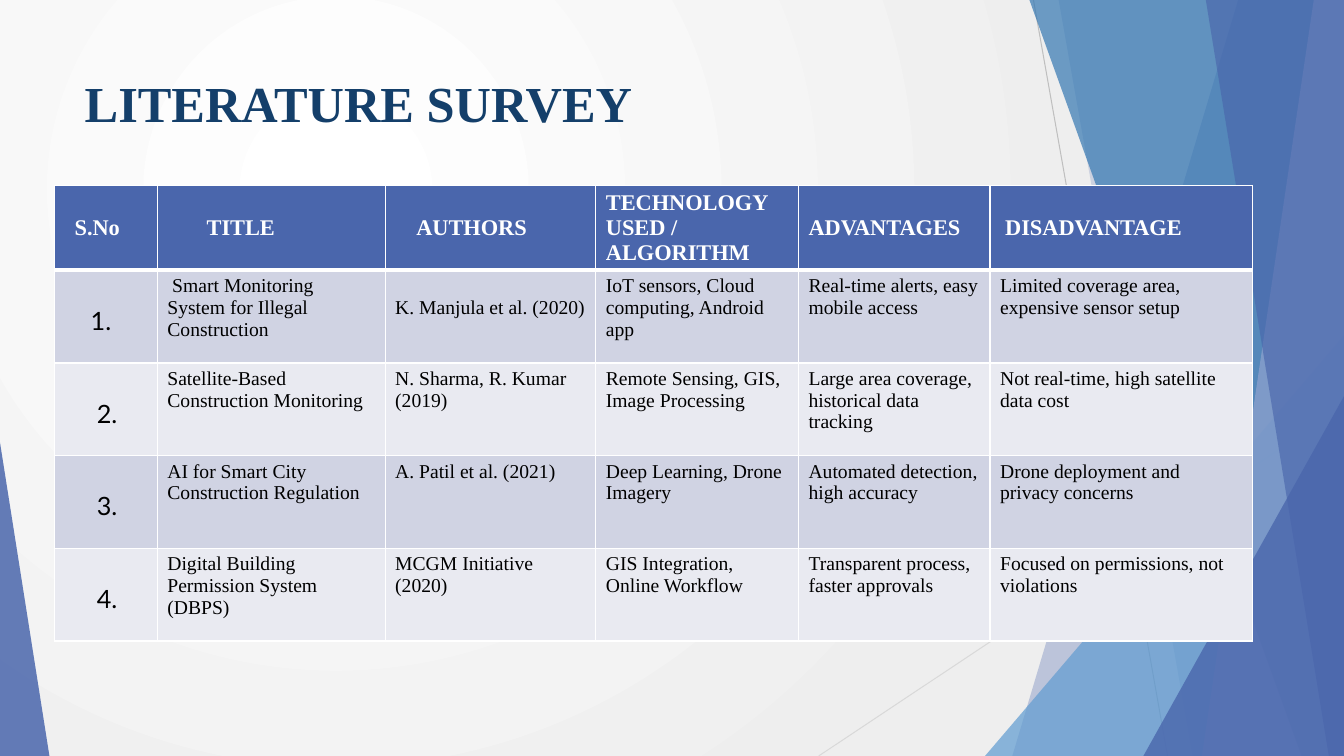
import pptx
import pptx.util
import pptx.dml.color
import pptx.enum.shapes
import pptx.enum.text
import pptx.oxml
import pptx.oxml.ns

Inches = pptx.util.Inches
RGB = pptx.dml.color.RGBColor
qn = pptx.oxml.ns.qn
NS = pptx.oxml.ns.nsdecls("a", "p")

WHITE = RGB(0xFF, 0xFF, 0xFF)
BLACK = RGB(0, 0, 0)
MIST = RGB(0xEE, 0xEE, 0xEE)
NAVY = RGB(0x14, 0x3F, 0x6A)
INDIGO = RGB(0x4A, 0x66, 0xAC)
SKY = RGB(0x62, 0x9D, 0xD1)
STEEL = RGB(0x34, 0x77, 0xB2)
PALE = RGB(0x90, 0xA2, 0xCF)
SILVER = RGB(0xBF, 0xBF, 0xBF)
ASH = RGB(0xD9, 0xD9, 0xD9)
BANDS = RGB(0xD0, 0xD3, 0xE3), RGB(0xE9, 0xEA, 0xF1)
SERIF = "Times New Roman"

HEADS = [("S.No", 0.2), ("TITLE", 0.49), ("AUTHORS", 0.31),
         ("TECHNOLOGY USED / ALGORITHM", 0.1), ("ADVANTAGES", 0.1),
         ("DISADVANTAGE", 0.15)]
STUDIES = [
    [" Smart Monitoring System for Illegal Construction", "K. Manjula et al. (2020)",
     "IoT sensors, Cloud computing, Android app",
     "Real-time alerts, easy mobile access",
     "Limited coverage area, expensive sensor setup"],
    ["Satellite-Based Construction Monitoring", "N. Sharma, R. Kumar (2019)",
     "Remote Sensing, GIS, Image Processing",
     "Large area coverage, historical data tracking",
     "Not real-time, high satellite data cost"],
    ["AI for Smart City Construction Regulation", "A. Patil et al. (2021)",
     "Deep Learning, Drone Imagery", "Automated detection, high accuracy",
     "Drone deployment and privacy concerns"],
    ["Digital Building Permission System (DBPS)", "MCGM Initiative (2020)",
     "GIS Integration, Online Workflow", "Transparent process, faster approvals",
     "Focused on permissions, not violations"],
]
WIDTHS = [1.02, 2.26, 2.09, 2.01, 1.9, 2.6]
HEAD_H, ROW_H = 0.84, 0.92


def write(frame, text, size=14, font=SERIF, color=BLACK, bold=False):
    part = frame.paragraphs[0]
    part.alignment = pptx.enum.text.PP_ALIGN.LEFT
    run = part.add_run()
    run.text = text
    run.font.size = pptx.util.Pt(size)
    run.font.name = font
    run.font.color.rgb = color
    run.font.bold = bold


def paint(shape, color, alpha):
    shape.shadow.inherit = False
    shape.line.fill.background()
    shape.fill.solid()
    shape.fill.fore_color.rgb = color
    tint = shape.fill._xPr.find(".//" + qn("a:srgbClr"))
    tint.append(pptx.oxml.parse_xml(f'<a:alpha {NS} val="{alpha * 1000}"/>'))


def backdrop(slide):
    page = slide.element.find(qn("p:cSld"))
    page.insert(0, pptx.oxml.parse_xml(
        f'<p:bg {NS}><p:bgPr><a:gradFill rotWithShape="1"><a:gsLst>'
        f'<a:gs pos="0"><a:srgbClr val="{WHITE}"/></a:gs>'
        f'<a:gs pos="100000"><a:srgbClr val="{MIST}"/></a:gs></a:gsLst>'
        '<a:path path="circle"><a:fillToRect l="50000" t="50000" r="100000" b="100000"/>'
        '</a:path></a:gradFill><a:effectLst/></p:bgPr></p:bg>'))


def decor(slide, left, top, width, height):
    right, base = left + width, top + height

    def ray(x1, y1, x2, y2, color):
        line = slide.shapes.add_connector(
            pptx.enum.shapes.MSO_CONNECTOR.STRAIGHT,
            *map(Inches, (left + x1, top + y1, left + x2, top + y2)))
        line.line.color.rgb = color
        line.line.width = pptx.util.Pt(0.75)
        line._element.spPr.append(pptx.oxml.parse_xml(f"<a:effectLst {NS}/>"))

    def ribbon(head, foot, color, alpha):
        spots = [(left + head, top), (right, top), (right, base), (left + foot, base)]
        pen = [(Inches(x), Inches(y)) for x, y in spots]
        path = slide.shapes.build_freeform(*pen[0], scale=1.0)
        path.add_line_segments(pen[1:], close=True)
        paint(path.convert_to_shape(), color, alpha)

    def wedge(x, wide, tall, tip, color, alpha):
        shape = slide.shapes.add_shape(
            pptx.enum.shapes.MSO_SHAPE.ISOSCELES_TRIANGLE,
            *map(Inches, (left + x, base - tall, wide, tall)))
        shape.adjustments[0] = tip
        paint(shape, color, alpha)

    ray(10.25, 0, 11.58, height, SILVER)
    ray(width, 4.03, 8.12, height, ASH)
    ribbon(12.28, 10.04, INDIGO, 30)
    ribbon(10.5, 11.83, INDIGO, 20)
    wedge(9.77, 3.56, 4.17, 1, SKY, 72)
    ribbon(10.21, 12.91, STEEL, 70)
    ribbon(13.03, 11.92, PALE, 70)
    ribbon(11.96, 13.18, INDIGO, 65)
    wedge(11.34, 1.99, 3.57, 1, INDIGO, 80)
    wedge(0, 0.49, 3.11, 0, INDIGO, 85)


def heading(slide, left, top, width, height):
    title = slide.shapes.title
    title.left, title.top, title.width, title.height = map(
        Inches, (left, top, width, height))
    slide.shapes._spTree.append(title._element)
    frame = title.text_frame
    frame.word_wrap = True
    frame.vertical_anchor = pptx.enum.text.MSO_ANCHOR.TOP
    write(frame, "LITERATURE SURVEY", size=36, color=NAVY, bold=True)


def dress(cell, fill, top_pt=1, base_pt=1):
    cell.fill.solid()
    cell.fill.fore_color.rgb = fill
    props = cell._tc.get_or_add_tcPr()
    for spot, (side, pts) in enumerate(
            [("L", 1), ("R", 1), ("T", top_pt), ("B", base_pt)]):
        props.insert(spot, pptx.oxml.parse_xml(
            f'<a:ln{side} {NS} w="{pts * 12700}"><a:solidFill>'
            f'<a:srgbClr val="{WHITE}"/></a:solidFill></a:ln{side}>'))


def survey(slide, left, top, width, height):
    frame = slide.shapes.add_table(len(STUDIES) + 1, len(HEADS),
                                   *map(Inches, (left, top, width, height)))
    table = frame.table
    for column, wide in zip(table.columns, WIDTHS):
        column.width = Inches(wide)
    for row in table.rows:
        row.height = Inches(ROW_H)
    table.rows[0].height = Inches(HEAD_H)

    for col, (text, inset) in enumerate(HEADS):
        cell = table.cell(0, col)
        dress(cell, INDIGO, base_pt=3)
        cell.margin_left = Inches(inset)
        cell.vertical_anchor = pptx.enum.text.MSO_ANCHOR.MIDDLE
        write(cell.text_frame, text, size=16, color=WHITE, bold=True)

    for row, study in enumerate(STUDIES, 1):
        for col, text in enumerate([f"{row}."] + study):
            cell = table.cell(row, col)
            dress(cell, BANDS[(row - 1) % 2], top_pt=3 if row == 1 else 1)
            if col == 0:
                cell.margin_left = Inches(0.36 if row == 1 else 0.42)
                cell.margin_top = Inches(0.35)
                write(cell.text_frame, text, size=18, font="Lato")
            else:
                write(cell.text_frame, text)
    table.cell(1, 2).margin_top = Inches(0.27)


def main():
    deck = pptx.Presentation()
    deck.slide_width, deck.slide_height = Inches(13.33), Inches(7.5)
    slide = deck.slides.add_slide(deck.slide_layouts[5])
    backdrop(slide)
    decor(slide, 0, 0, 13.33, 7.5)
    heading(slide, 0.74, 0.67, 9.4, 1.17)
    survey(slide, 0.54, 1.84, sum(WIDTHS), HEAD_H + ROW_H * len(STUDIES))
    deck.save("out.pptx")


if __name__ == "__main__":
    main()
